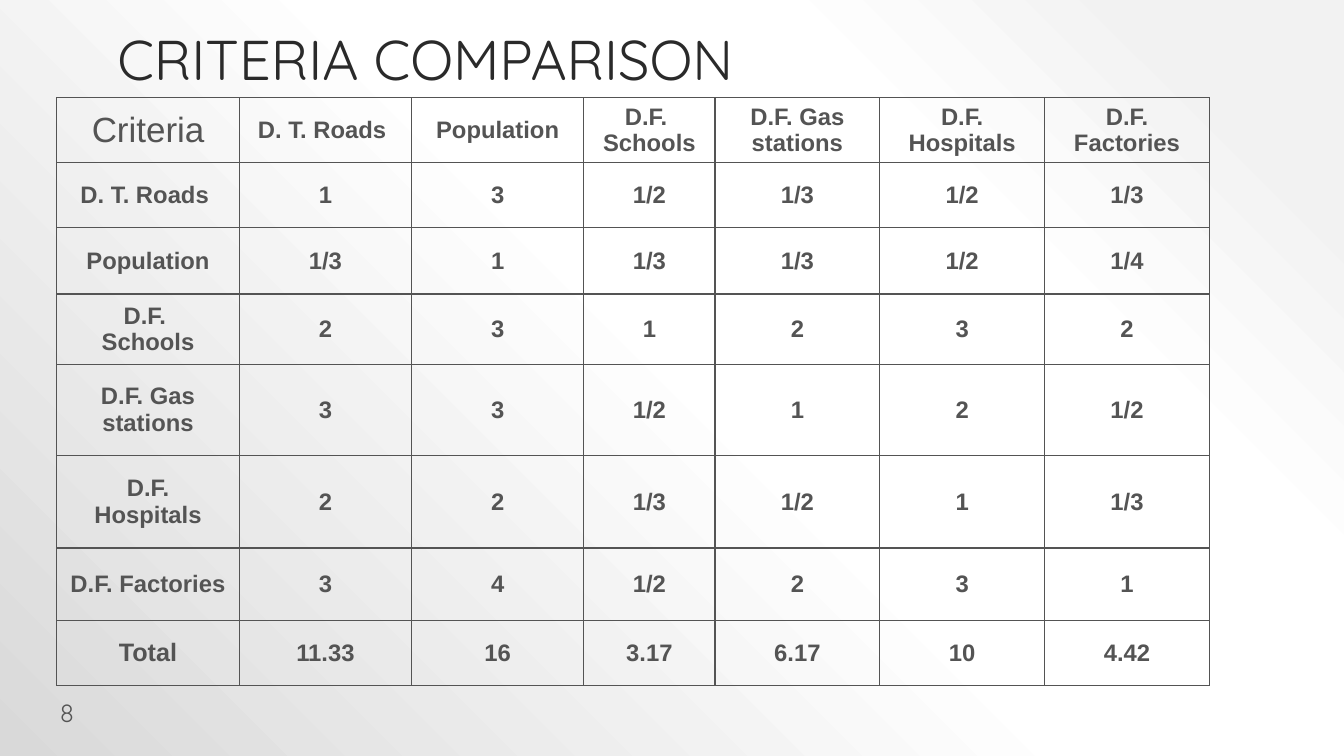
"""Build the criteria comparison slide with its pairwise table."""
import pptx
import pptx.dml.color
import pptx.enum.text
import pptx.oxml
import pptx.oxml.ns
import pptx.util

PX = 9525
DARK = pptx.dml.color.RGBColor(0x2A, 0x2A, 0x2A)
GREY = pptx.dml.color.RGBColor(0x54, 0x54, 0x54)
STOPS = [(10, "F2F2F2"), (28, "FFFFFF"), (48, "FFFFFF"), (100, "D9D9D9")]
SPACE = pptx.oxml.ns.nsdecls("a", "p")
ALIGN = pptx.enum.text.PP_ALIGN
MIDDLE = pptx.enum.text.MSO_ANCHOR.MIDDLE


def write(frame, text, size=17, face="Arial", bold=False, color=GREY,
          align=ALIGN.CENTER, spacing=None):
    frame.text = text
    frame.word_wrap = True
    for para in frame.paragraphs:
        para.alignment = align
        para.line_spacing = spacing
        for run in para.runs:
            run.font.size = pptx.util.Pt(size)
            run.font.name = face
            run.font.bold = bold
            run.font.color.rgb = color


deck = pptx.Presentation()
deck.slide_width = 1280 * PX
deck.slide_height = 720 * PX
slide = deck.slides.add_slide(deck.slide_layouts[5])

stops = "".join(f'<a:gs pos="{pos * 1000}"><a:srgbClr val="{tone}"/></a:gs>'
                for pos, tone in STOPS)
slide.element.cSld.insert(0, pptx.oxml.parse_xml(
    f'<p:bg {SPACE}><p:bgPr><a:gradFill rotWithShape="1"><a:gsLst>{stops}</a:gsLst>'
    '<a:path path="circle"><a:fillToRect l="100000" b="100000"/></a:path>'
    '</a:gradFill><a:effectLst/></p:bgPr></p:bg>'))

title = slide.shapes.title
title.left, title.top, title.width, title.height = [n * PX for n in (-107, 0, 1024, 93)]
write(title.text_frame, "CRITERIA COMPARISON", size=40, face="Quicksand",
      color=DARK, spacing=0.9)
title.text_frame.auto_size = pptx.enum.text.MSO_AUTO_SIZE.NONE
title.text_frame.vertical_anchor = pptx.enum.text.MSO_ANCHOR.BOTTOM

names = ["D. T. Roads ", "Population", "D.F. \nSchools", "D.F. Gas stations",
         "D.F.\nHospitals", "D.F.\nFactories"]
labels = names[:-1] + ["D.F. Factories", "Total"]
scores = ["1 3 1/2 1/3 1/2 1/3",
          "1/3 1 1/3 1/3 1/2 1/4",
          "2 3 1 2 3 2",
          "3 3 1/2 1 2 1/2",
          "2 2 1/3 1/2 1 1/3",
          "3 4 1/2 2 3 1",
          "11.33 16 3.17 6.17 10 4.42"]
rows = [["Criteria"] + names]
rows += [[label] + line.split() for label, line in zip(labels, scores)]
widths = [174, 164, 164, 125, 157, 157, 157]
heights = [62, 62, 63, 67, 87, 88, 69, 62]
sizes = {"Criteria": 25, "Total": 18}

table = slide.shapes.add_table(len(rows), len(widths), 54 * PX, 93 * PX,
                               sum(widths) * PX, sum(heights) * PX).table
table.first_row = False
table.horz_banding = False
for column, width in zip(table.columns, widths):
    column.width = width * PX
for row, height, texts in zip(table.rows, heights, rows):
    row.height = height * PX
    for cell, text in zip(row.cells, texts):
        write(cell.text_frame, text, size=sizes.get(text, 17), bold=text != "Criteria")
        cell.vertical_anchor = MIDDLE
        props = cell._tc.get_or_add_tcPr()
        for side in "LRTB":
            props.append(pptx.oxml.parse_xml(
                f'<a:ln{side} {SPACE} w="12700"><a:solidFill>'
                f'<a:srgbClr val="{GREY}"/></a:solidFill></a:ln{side}>'))
        cell.fill.background()

number = slide.shapes.add_textbox(10 * PX, 651 * PX, 70 * PX, 55 * PX)
write(number.text_frame, "8", size=18, face="Quicksand", align=ALIGN.RIGHT)
number.text_frame.vertical_anchor = MIDDLE

deck.save("out.pptx")
